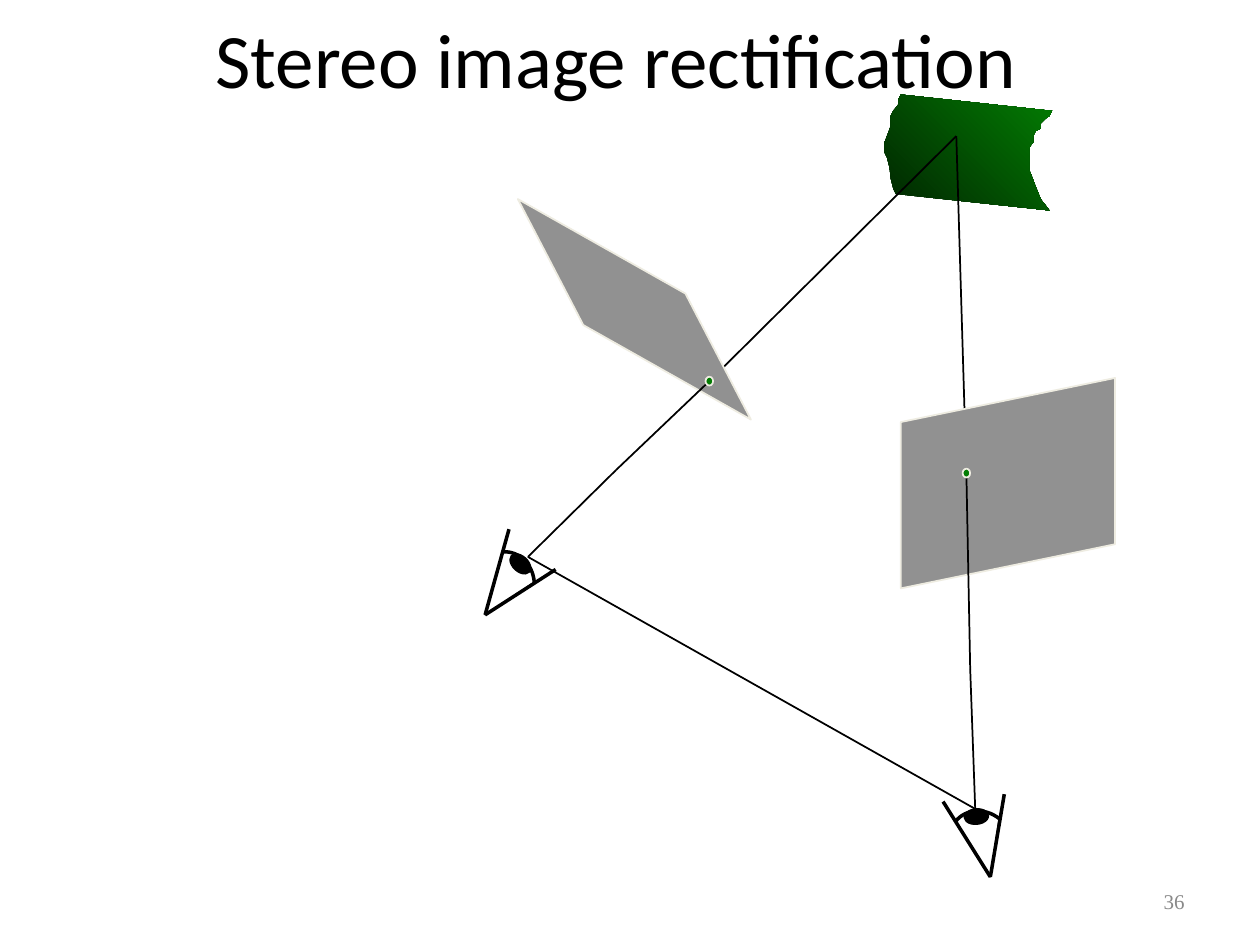
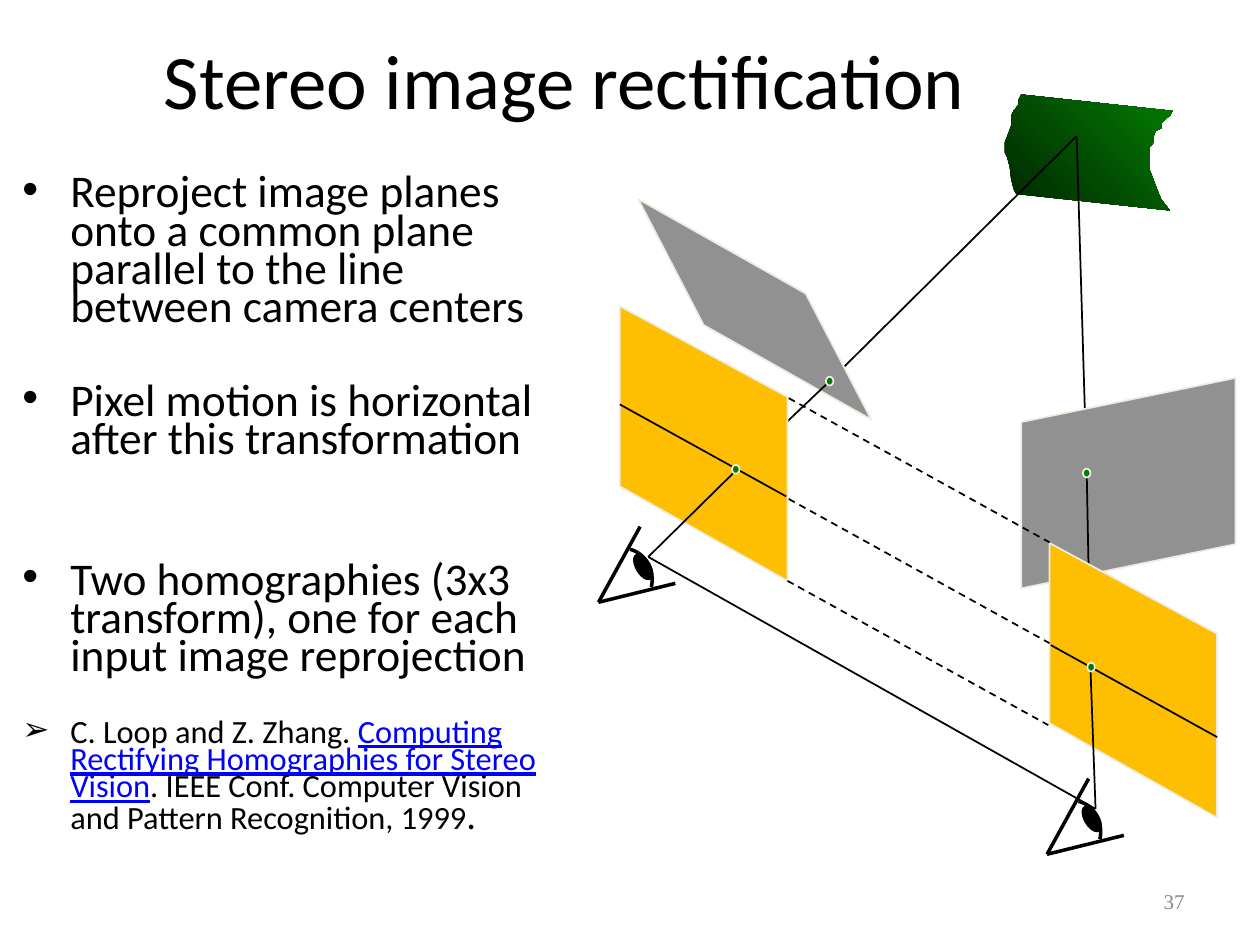
from dataclasses import dataclass
from math import cos, radians, sin
from typing import Any, NamedTuple

from lxml.etree import SubElement
from pptx import Presentation
from pptx.dml.color import RGBColor
from pptx.enum.dml import MSO_LINE
from pptx.enum.shapes import MSO_CONNECTOR, MSO_SHAPE
from pptx.enum.text import MSO_ANCHOR, MSO_AUTO_SIZE, PP_ALIGN
from pptx.oxml.ns import qn
from pptx.util import Emu, Inches, Pt

COLUMNS, ROWS = 100, 75
CELL = Inches(10) // COLUMNS


@dataclass(frozen=True)
class Theme:
    ink: str = "000000"
    pale: str = "EEECE1"
    image_gray: str = "919191"
    rectified: str = "FEBF02"
    green: str = "037C03"
    dark_green: str = "012501"
    link: str = "0000FF"
    muted: str = "898989"
    font: str = "Calibri"
    number_font: str = "Times New Roman"
    title_size: float = 44
    body_size: float = 25.9
    cite_size: float = 18.5
    stop_size: float = 22.2
    number_size: float = 12
    thin: float = 1
    wedge: float = 0.75
    bold: float = 2


THEME = Theme()


class Point(NamedTuple):
    x: float
    y: float

    def moved(self, dx: float, dy: float = 0) -> "Point":
        return Point(self.x + dx, self.y + dy)

    def turned(self, degrees: float) -> "Point":
        c, s = cos(radians(degrees)), sin(radians(degrees))
        return Point(self.x * c - self.y * s, self.x * s + self.y * c)


class Box(NamedTuple):
    left: float
    top: float
    width: float
    height: float


class Segment(NamedTuple):
    start: Point
    end: Point
    dashed: bool = False


class Span(NamedTuple):
    text: str
    size: float = THEME.body_size
    color: str = THEME.ink
    underline: bool = False


class Bullet(NamedTuple):
    mark: str
    gap: float
    spans: list[Span]


class EyeForm(NamedTuple):
    """Parts of an eye, measured from its corner."""
    lids: list[Point]
    arc: list[Point]
    pupil: Point
    pupil_size: Point
    pupil_turn: float


class Eye(NamedTuple):
    corner: Point
    form: EyeForm
    turn: float = 0
    wedge: bool = False


def points(*pairs: tuple[float, float]) -> list[Point]:
    return [Point(*pair) for pair in pairs]


def shifted(outline: list[Point], dx: float, dy: float = 0) -> list[Point]:
    return [point.moved(dx, dy) for point in outline]


# Scene geometry, in grid columns and rows
SURFACE = points(
    (71.5, 7.5), (71.3, 7.9), (71.3, 8.3), (70.9, 8.8), (70.7, 9.2), (70.7, 10), (70.4, 10.8),
    (70.2, 11.3), (70.2, 12.1), (70.4, 12.5), (70.6, 13.3), (70.7, 14.2), (70.9, 15), (71.1, 15.4),
    (83.3, 16.7), (82.6, 15.8), (82.2, 14.8), (81.9, 14), (81.7, 13.5), (81.7, 11.7), (82, 11.3),
    (82, 10.8), (82.2, 10.4), (82.6, 10.2), (82.6, 9.8), (83, 9.4), (83.3, 9.2), (83.5, 8.8))
IMAGE_PLANES = [points((46.3, 25.8), (59.6, 33.3), (54.4, 23.3), (41.1, 15.8)),
                points((71.5, 33.5), (71.5, 46.7), (88.5, 43.2), (88.5, 30))]
TARGET = Point(75.9, 10.8)
CAMERAS = points((41.9, 44.2), (77.4, 64.2))
PIXELS = points((56.3, 30.25), (76.7, 37.55))
RAY_BREAKS = points((48.9, 37.3), (77, 53.1))
SCENE_SHIFT = 9.55

# Rectified planes and their matching rows
PANE_STEP = Point(34.1, 18.8)
PANE = points((49.2, 38.6), (62.5, 46.1), (62.5, 31.5), (49.2, 24.3))
RECTIFIED_PIXELS = points((58.4, 37.25), (86.6, 52.95))
SCANLINE = points((49.2, 32.1), (62.4, 39.4))
GUIDES = [Segment(start, start.moved(20.7, 11.45), True)
          for start in points((62.6, 31.6), (62.5, 46.1), (62.6, 39.6))]
GUIDES += [Segment(*SCANLINE), Segment(*shifted(SCANLINE, 34.2, 19.1))]

FREE_EYE = EyeForm(points((1.9, -6.8), (5.6, -3.6)),
                   points((1.4, -5), (2.7, -5.1), (3.8, -4), (3.9, -2.6)),
                   Point(2.8, -4.05), Point(1.2, 1.9), 312.5)
ALIGNED_EYE = EyeForm(points((3.3, -6), (6.1, -1.5)),
                      points((2.5, -4.2), (3.7, -3.9), (4.5, -2.6), (4.2, -1.2)),
                      Point(3.55, -2.8), Point(1.1, 2.2), 329)
FREE_EYES = [Eye(Point(78.6, 69.6), FREE_EYE, -47.7, True),
             Eye(Point(38.5, 48.8), FREE_EYE, 0, True)]
ALIGNED_EYES = [Eye(corner, ALIGNED_EYE) for corner in points((47.5, 47.8), (83.1, 67.8))]

BULLETS = [
    Bullet("•", 0, [Span("Reproject image planes onto a common plane parallel to the line "
                         "between camera centers")]),
    Bullet("•", 32, [Span("Pixel motion is horizontal after this transformation")]),
    Bullet("•", 59, [Span("Two homographies (3x3 transform), one for each input image "
                          "reprojection")]),
    Bullet("➢", 24, [
        Span("C. Loop and Z. Zhang. ", THEME.cite_size),
        Span("Computing Rectifying Homographies for Stereo Vision", THEME.cite_size,
             THEME.link, True),
        Span(". IEEE Conf. Computer Vision and Pattern Recognition, 1999", THEME.cite_size),
        Span(".", THEME.stop_size)]),
]


# Formatting helpers
def grid(value: float) -> Emu:
    return Emu(round(value * CELL))


def apply(target: Any, values: dict[str, Any]) -> None:
    for name, value in values.items():
        setattr(target, name, value)


def place(shape: Any, box: Box) -> None:
    apply(shape, {name: grid(value) for name, value in box._asdict().items()})


def set_font(font: Any, size: float, color: str, name: str = THEME.font,
             underline: bool = False) -> None:
    apply(font, {"size": Pt(size), "name": name, "underline": underline or None})
    font.color.rgb = RGBColor.from_string(color)


def set_line(line: Any, color: str, width: float) -> None:
    line.color.rgb = RGBColor.from_string(color)
    line.width = Pt(width)


def paint(shape: Any, fill: str | None, line: str | None, width: float = THEME.thin) -> None:
    shape.shadow.inherit = False
    if fill:
        shape.fill.solid()
        shape.fill.fore_color.rgb = RGBColor.from_string(fill)
    else:
        shape.fill.background()
    if line:
        set_line(shape.line, line, width)
    else:
        shape.line.fill.background()


# Drawing primitives
def draw_outline(page: Any, outline: list[Point], close: bool = True) -> Any:
    corners = [(grid(point.x), grid(point.y)) for point in outline]
    builder = page.shapes.build_freeform(*corners[0], scale=1.0)
    builder.add_line_segments(corners[1:], close=close)
    return builder.convert_to_shape()


def draw_line(page: Any, segment: Segment, width: float = THEME.thin) -> None:
    (x1, y1), (x2, y2) = segment.start, segment.end
    line = page.shapes.add_connector(MSO_CONNECTOR.STRAIGHT, grid(x1), grid(y1),
                                     grid(x2), grid(y2))
    set_line(line.line, THEME.ink, width)
    if segment.dashed:
        line.line.dash_style = MSO_LINE.DASH
    SubElement(line._element.spPr, qn("a:effectLst"))


def draw_oval(page: Any, center: Point, size: Point, fill: str, line: str,
              turn: float = 0) -> None:
    oval = page.shapes.add_shape(MSO_SHAPE.OVAL, 0, 0, 0, 0)
    place(oval, Box(center.x - size.x / 2, center.y - size.y / 2, *size))
    oval.rotation = turn
    paint(oval, fill, line)


def draw_pixels(page: Any, centers: list[Point]) -> None:
    for center in centers:
        draw_oval(page, center, Point(0.6, 0.7), THEME.green, THEME.pale)


def curve(a: Point, b: Point, c: Point, d: Point, steps: int = 16) -> list[Point]:
    """Sample a cubic Bézier curve."""
    result = []
    for t in (step / steps for step in range(steps + 1)):
        weights = ((1 - t) ** 3, 3 * t * (1 - t) ** 2, 3 * t * t * (1 - t), t ** 3)
        result.append(Point(*(sum(w * v for w, v in zip(weights, axis))
                              for axis in zip(a, b, c, d))))
    return result


# Scene parts
def draw_eye(page: Any, eye: Eye) -> None:
    def spot(offset: Point) -> Point:
        return offset.turned(eye.turn).moved(*eye.corner)

    form = eye.form
    arc = curve(*map(spot, form.arc))
    if eye.wedge:
        paint(draw_outline(page, [eye.corner, *arc]), None, THEME.ink, THEME.wedge)
    paint(draw_outline(page, arc, close=False), None, THEME.ink, THEME.bold)
    for lid in form.lids:
        draw_line(page, Segment(eye.corner, spot(lid)), THEME.bold)
    draw_oval(page, spot(form.pupil), form.pupil_size, THEME.ink, THEME.ink,
              (form.pupil_turn + eye.turn) % 360)


def draw_scene(page: Any, eyes: list[Eye], shift: float = 0,
               panes: list[list[Point]] | None = None) -> None:
    target = TARGET.moved(shift)
    cameras, pixels, breaks = (shifted(row, shift) for row in (CAMERAS, PIXELS, RAY_BREAKS))
    surface = draw_outline(page, shifted(SURFACE, shift))
    paint(surface, None, None)
    surface.fill.gradient()
    surface.fill.gradient_angle = 45
    for stop, color in zip(surface.fill.gradient_stops, (THEME.dark_green, THEME.green)):
        stop.color.rgb = RGBColor.from_string(color)
    draw_line(page, Segment(*cameras))
    for pixel in pixels:
        draw_line(page, Segment(pixel, target))
    for plane in IMAGE_PLANES:
        paint(draw_outline(page, shifted(plane, shift)), THEME.image_gray, THEME.pale)
    for ray in zip(breaks, pixels):
        draw_line(page, Segment(*ray))
    for pane in panes or []:
        paint(draw_outline(page, pane), THEME.rectified, THEME.pale)
    for ray in zip(cameras, breaks):
        draw_line(page, Segment(*ray))
    for eye in eyes:
        draw_eye(page, eye)
    draw_pixels(page, pixels)


# Page text
def add_page(deck: Any, title_box: Box, number: int) -> Any:
    page = deck.slides.add_slide(deck.slide_layouts[5])
    title = page.shapes.title
    place(title, title_box)
    label = page.shapes.add_textbox(0, 0, 0, 0)
    place(label, Box(71.7, 69.5, 23.3, 4))
    for shape, text, align, size, color, font in (
            (title, "Stereo image rectification", PP_ALIGN.CENTER,
             THEME.title_size, THEME.ink, THEME.font),
            (label, str(number), PP_ALIGN.RIGHT,
             THEME.number_size, THEME.muted, THEME.number_font)):
        apply(shape.text_frame, {"text": text, "word_wrap": True,
                                 "vertical_anchor": MSO_ANCHOR.MIDDLE})
        para = shape.text_frame.paragraphs[0]
        para.alignment = align
        set_font(para.runs[0].font, size, color, font)
    return page


def add_bullets(page: Any, box: Box, bullets: list[Bullet]) -> None:
    body = page.shapes.add_textbox(0, 0, 0, 0)
    place(body, box)
    frame = body.text_frame
    apply(frame, {"word_wrap": True, "auto_size": MSO_AUTO_SIZE.NONE})
    for index, bullet in enumerate(bullets):
        para = frame.add_paragraph() if index else frame.paragraphs[0]
        apply(para, {"line_spacing": 0.7, "space_before": Pt(bullet.gap)})
        layout = para._p.get_or_add_pPr()
        apply_indent = {"marL": Inches(0.38), "indent": -Inches(0.38)}
        for name, value in apply_indent.items():
            layout.set(name, str(value))
        SubElement(layout, qn("a:buFont"), typeface="Arial")
        SubElement(layout, qn("a:buChar"), char=bullet.mark)
        for span in bullet.spans:
            run = para.add_run()
            run.text = span.text
            set_font(run.font, span.size, span.color, underline=span.underline)


def main() -> None:
    deck = Presentation()
    apply(deck, {"slide_width": grid(COLUMNS), "slide_height": grid(ROWS)})

    # Two cameras before rectification
    page = add_page(deck, Box(3.9, -1.7, 90, 12.5), 36)
    draw_scene(page, FREE_EYES)

    # Reprojection onto a common plane
    page = add_page(deck, Box(-0.2, 0, 90, 12.5), 37)
    add_bullets(page, Box(0.8, 13.6, 45.8, 60.3), BULLETS)
    draw_scene(page, ALIGNED_EYES, SCENE_SHIFT, [PANE, shifted(PANE, *PANE_STEP)])
    for guide in GUIDES:
        draw_line(page, guide)
    draw_pixels(page, RECTIFIED_PIXELS)

    deck.save("out.pptx")


if __name__ == "__main__":
    main()
